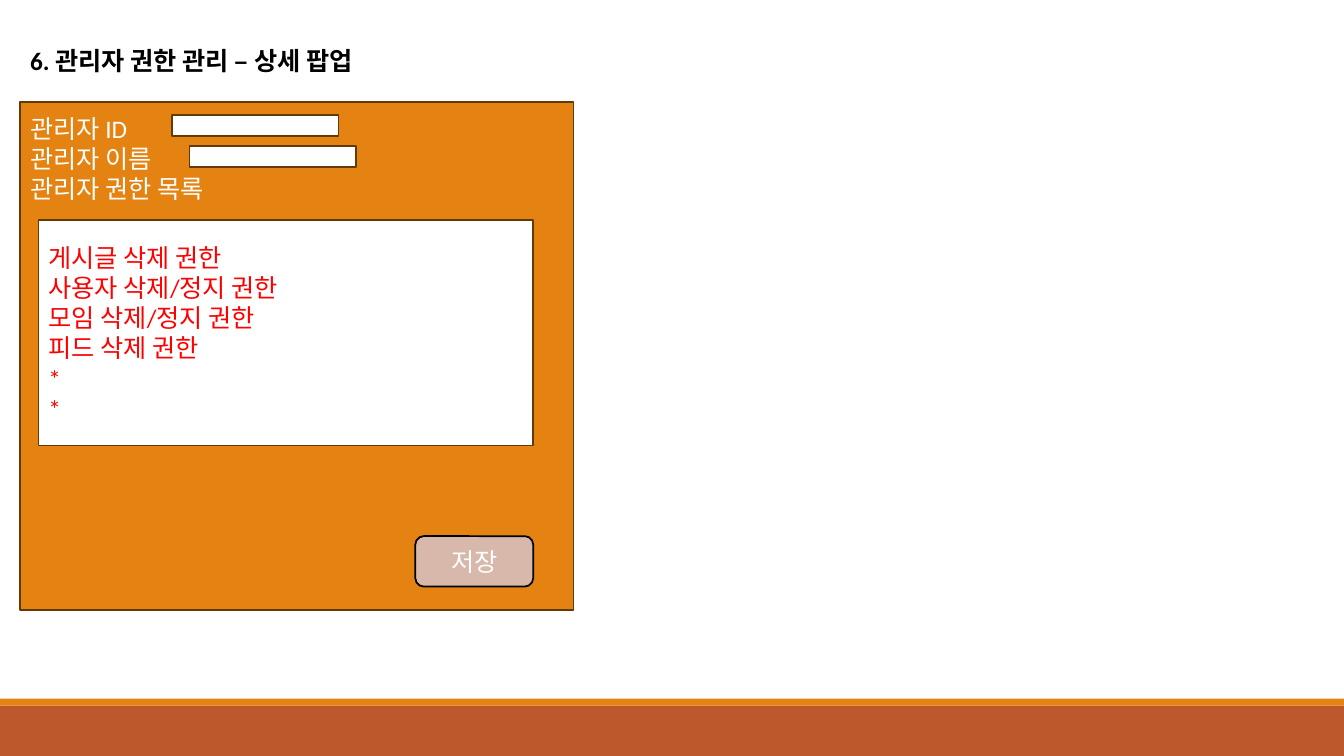
from lxml.etree import SubElement
from pptx import Presentation
from pptx.dml.color import RGBColor
from pptx.enum.shapes import MSO_SHAPE
from pptx.enum.text import MSO_ANCHOR, MSO_AUTO_SIZE, PP_ALIGN
from pptx.oxml.ns import qn
from pptx.util import Pt

ORANGE, RUST, BROWN = "E48312", "BD582C", "643908"
WHITE, BLACK, RED, ROSE = "FFFFFF", "000000", "FF0000", "D7B8AB"


def color(hex_code):
    return RGBColor.from_string(hex_code)


def write(shape, lines, ink=WHITE, bold=False, align=PP_ALIGN.LEFT,
          anchor=MSO_ANCHOR.MIDDLE, top_inset=3.6, font="Calibri", size=18):
    """Fill a shape with one unbulleted paragraph per line."""
    frame = shape.text_frame
    frame.word_wrap = True
    frame.auto_size = MSO_AUTO_SIZE.NONE
    frame.vertical_anchor = anchor
    frame.margin_top = Pt(top_inset)
    frame.text = "\n".join(lines)
    for paragraph in frame.paragraphs:
        properties = paragraph._p.get_or_add_pPr()
        properties.set("marL", "0")
        properties.set("indent", "0")
        SubElement(properties, qn("a:buNone"))
        paragraph.alignment = align
        paragraph.space_before = Pt(0)
        for run in paragraph.runs:
            run.font.name = font
            run.font.size = Pt(size)
            run.font.bold = bold
            run.font.color.rgb = color(ink)


class PopupSlide:
    def __init__(self, deck):
        self.slide = deck.slides.add_slide(deck.slide_layouts[1])
        self.shapes = self.slide.shapes

    def paint(self, shape, fill, line):
        shape.fill.solid()
        shape.fill.fore_color.rgb = color(fill)
        if line:
            shape.line.color.rgb = color(line)
            shape.line.width = Pt(1.25)
        else:
            shape.line.fill.background()

    def place(self, shape, left, top, width, height):
        shape.left, shape.top = Pt(left), Pt(top)
        shape.width, shape.height = Pt(width), Pt(height)

    def box(self, left, top, width, height, fill=WHITE, line=BROWN,
            kind=MSO_SHAPE.RECTANGLE):
        shape = self.shapes.add_shape(
            kind, Pt(left), Pt(top), Pt(width), Pt(height))
        shape.shadow.inherit = False
        self.paint(shape, fill, line)
        return shape

    def title(self, text, *bounds):
        heading = self.shapes.title
        self.place(heading, *bounds)
        write(heading, [text], ink=BLACK, bold=True, anchor=MSO_ANCHOR.TOP)

    def list_box(self, lines, *bounds):
        """Put the body placeholder, as a framed list, above earlier shapes."""
        body = self.slide.placeholders[1]
        self.place(body, *bounds)
        self.paint(body, WHITE, BROWN)
        write(body, lines, ink=RED)
        self.shapes._spTree.append(body._element)


def main():
    deck = Presentation()
    deck.slide_width, deck.slide_height = Pt(960), Pt(540)
    popup = PopupSlide(deck)

    popup.box(0, 504, 960, 36, fill=RUST, line=None)
    popup.box(0, 499, 960, 5, fill=ORANGE, line=None)
    popup.title("6. 관리자 권한 관리 – 상세 팝업", 14.4, 28.8, 479.5, 28.8)

    panel = popup.box(14.4, 72.7, 395.3, 362.9, fill=ORANGE)
    write(panel, ["관리자 ID", "관리자 이름", "관리자 권한 목록"],
          anchor=MSO_ANCHOR.TOP, top_inset=8)
    for left, top in ((123, 82), (135.4, 104.5)):
        popup.box(left, top, 118.8, 15)

    popup.list_box(["게시글 삭제 권한", "사용자 삭제/정지 권한",
                    "모임 삭제/정지 권한", "피드 삭제 권한", "*", "*"],
                   27.4, 157, 353.5, 161.3)
    save_button = popup.box(296.7, 383, 84.2, 36, fill=ROSE, line=BLACK,
                            kind=MSO_SHAPE.ROUNDED_RECTANGLE)
    write(save_button, ["저장"], align=PP_ALIGN.CENTER)

    deck.save("out.pptx")


if __name__ == "__main__":
    main()
